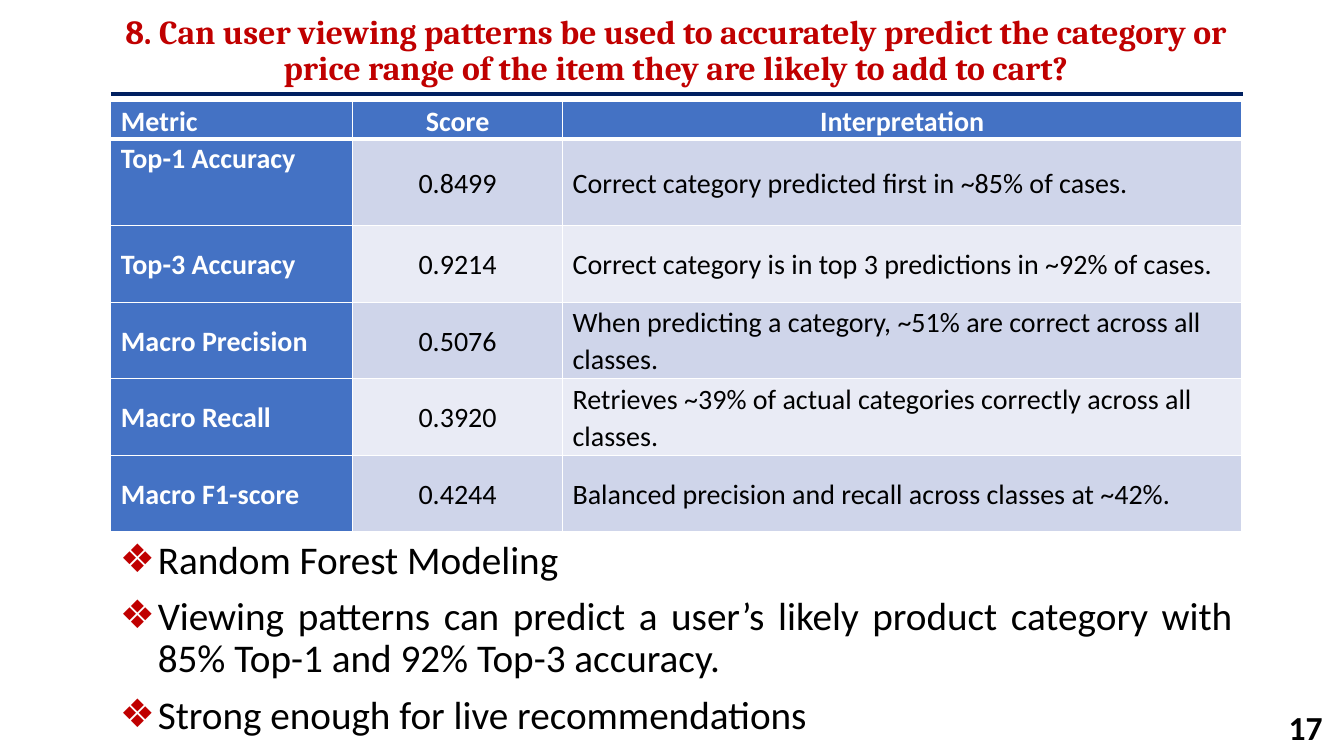
from lxml import etree
from pptx import Presentation
from pptx.dml.color import RGBColor
from pptx.enum import shapes, text
from pptx.oxml import ns
from pptx.util import Pt

COLORS = {
    "red": "C00000", "navy": "002060", "blue": "4472C4", "black": "000000",
    "white": "FFFFFF", "band_dark": "CFD5EA", "band_light": "E9EBF5",
}
LEFT, CENTER, JUSTIFY = (text.PP_ALIGN.LEFT, text.PP_ALIGN.CENTER, text.PP_ALIGN.JUSTIFY)
TOP, MIDDLE, BOTTOM = (text.MSO_ANCHOR.TOP, text.MSO_ANCHOR.MIDDLE, text.MSO_ANCHOR.BOTTOM)

TITLE = ("8. Can user viewing patterns be used to accurately predict the category "
         "or price range of the item they are likely to add to cart?")
METRICS = [
    ("Metric", "Score", "Interpretation"),
    ("Top-1 Accuracy", "0.8499", "Correct category predicted first in ~85% of cases."),
    ("Top-3 Accuracy", "0.9214", "Correct category is in top 3 predictions in ~92% of cases."),
    ("Macro Precision", "0.5076",
     "When predicting a category, ~51% are correct across all classes."),
    ("Macro Recall", "0.3920",
     "Retrieves ~39% of actual categories correctly across all classes."),
    ("Macro F1-score", "0.4244", "Balanced precision and recall across classes at ~42%."),
]
FINDINGS = [
    "Random Forest Modeling",
    "Viewing patterns can predict a user’s likely product category with "
    "85% Top-1 and 92% Top-3 accuracy.",
    "Strong enough for live recommendations",
]
COLUMN_WIDTHS = [172.8, 149.8, 485.3]
ROW_HEIGHTS = [26.6, 61.9] + [54.7] * 4


def apply(target, values):
    for name, value in values.items():
        setattr(target, name, value)


def rgb(name):
    return RGBColor.from_string(COLORS[name])


def add_color(parent, name):
    etree.SubElement(parent, ns.qn("a:srgbClr"), val=COLORS[name])


def place(box, left, top, width, height):
    apply(box, {"left": Pt(left), "top": Pt(top), "width": Pt(width), "height": Pt(height)})


def write(para, words, font, size, color, bold=False, **layout):
    apply(para, layout)
    span = para.add_run()
    span.text = words
    apply(span.font, {"name": font, "size": Pt(size), "bold": bold})
    span.font.color.rgb = rgb(color)


def add_bullet(para, indent):
    props = para._p.get_or_add_pPr()
    props.set("marL", str(Pt(indent)))
    props.set("indent", str(-Pt(indent)))
    add_color(etree.SubElement(props, ns.qn("a:buClr")), "red")
    etree.SubElement(props, ns.qn("a:buChar"), char="❖")


def set_borders(cell, widths):
    props = cell._tc.get_or_add_tcPr()
    for index, (side, width) in enumerate(widths.items()):
        line = etree.Element(ns.qn(f"a:ln{side}"), w=str(Pt(width)))
        add_color(etree.SubElement(line, ns.qn("a:solidFill")), "white")
        props.insert(index, line)


def fill_title(page):
    box = page.shapes.title
    place(box, 69.8, 9.4, 825.8, 56.9)
    apply(box.text_frame, {"word_wrap": True, "vertical_anchor": BOTTOM,
                           "auto_size": text.MSO_AUTO_SIZE.NONE})
    write(box.text_frame.paragraphs[0], TITLE, "Cambria", 24, "red", True,
          alignment=CENTER, line_spacing=0.9)


def add_rule(page):
    rule = page.shapes.add_connector(shapes.MSO_CONNECTOR.STRAIGHT,
                                     Pt(79.2), Pt(67), Pt(887.8), Pt(67))
    rule.line.color.rgb = rgb("navy")
    rule.line.width = Pt(3)
    etree.SubElement(rule._element.spPr, ns.qn("a:effectLst"))


def add_metrics(page):
    frame = page.shapes.add_table(len(METRICS), len(COLUMN_WIDTHS), Pt(79.2), Pt(72.7),
                                  Pt(sum(COLUMN_WIDTHS)), Pt(sum(ROW_HEIGHTS)))
    table = frame.table
    for column, width in zip(table.columns, COLUMN_WIDTHS):
        column.width = Pt(width)
    for row, height in zip(table.rows, ROW_HEIGHTS):
        row.height = Pt(height)

    for r, record in enumerate(METRICS):
        for c, words in enumerate(record):
            cell = table.cell(r, c)
            heading = r == 0 or c == 0
            band = "band_dark" if r % 2 else "band_light"
            cell.fill.solid()
            cell.fill.fore_color.rgb = rgb("blue" if heading else band)
            apply(cell, {"margin_left": Pt(7.2), "margin_right": Pt(7.2),
                         "margin_top": 0, "margin_bottom": 0,
                         "vertical_anchor": TOP if (r, c) == (1, 0) else MIDDLE})
            set_borders(cell, {"L": 1, "R": 1, "T": 3 if r == 1 else 1,
                               "B": 3 if r == 0 else 1})
            centered = c == 1 or (r == 0 and c == 2)
            write(cell.text_frame.paragraphs[0], words, "Calibri", 20,
                  "white" if heading else "black", heading,
                  alignment=CENTER if centered else LEFT,
                  line_spacing=1.07, space_after=Pt(8))


def fill_findings(page):
    box = page.placeholders[1]
    place(box, 78.5, 382.3, 809.3, 157.7)
    frame = box.text_frame
    apply(frame, {"word_wrap": True, "vertical_anchor": TOP,
                  "auto_size": text.MSO_AUTO_SIZE.NONE})
    for index, words in enumerate(FINDINGS):
        para = frame.add_paragraph() if index else frame.paragraphs[0]
        write(para, words, "Calibri", 28, "black",
              alignment=JUSTIFY, line_spacing=0.9, space_before=Pt(10))
        add_bullet(para, 27)


def add_page_number(page):
    box = page.shapes.add_textbox(Pt(905), Pt(501.1), Pt(55.4), Pt(36))
    box.text_frame.word_wrap = True
    write(box.text_frame.paragraphs[0], "17", "Calibri", 24, "black", True, alignment=CENTER)


def main():
    deck = Presentation()
    apply(deck, {"slide_width": Pt(960), "slide_height": Pt(540)})
    page = deck.slides.add_slide(deck.slide_layouts[0])
    # Heading
    fill_title(page)
    add_rule(page)
    # Scores and findings
    add_metrics(page)
    fill_findings(page)
    # Footer
    add_page_number(page)
    deck.save("out.pptx")


if __name__ == "__main__":
    main()
